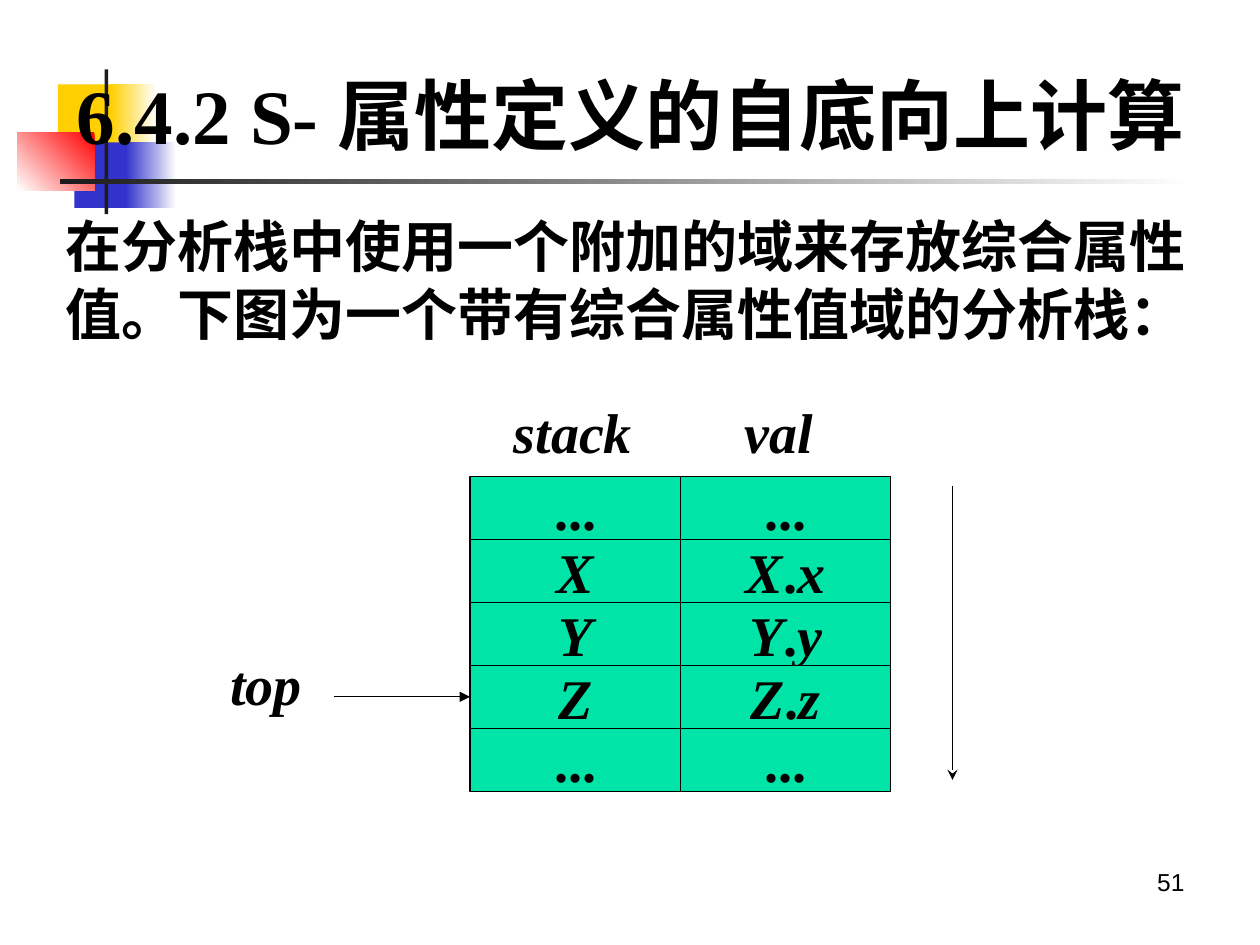
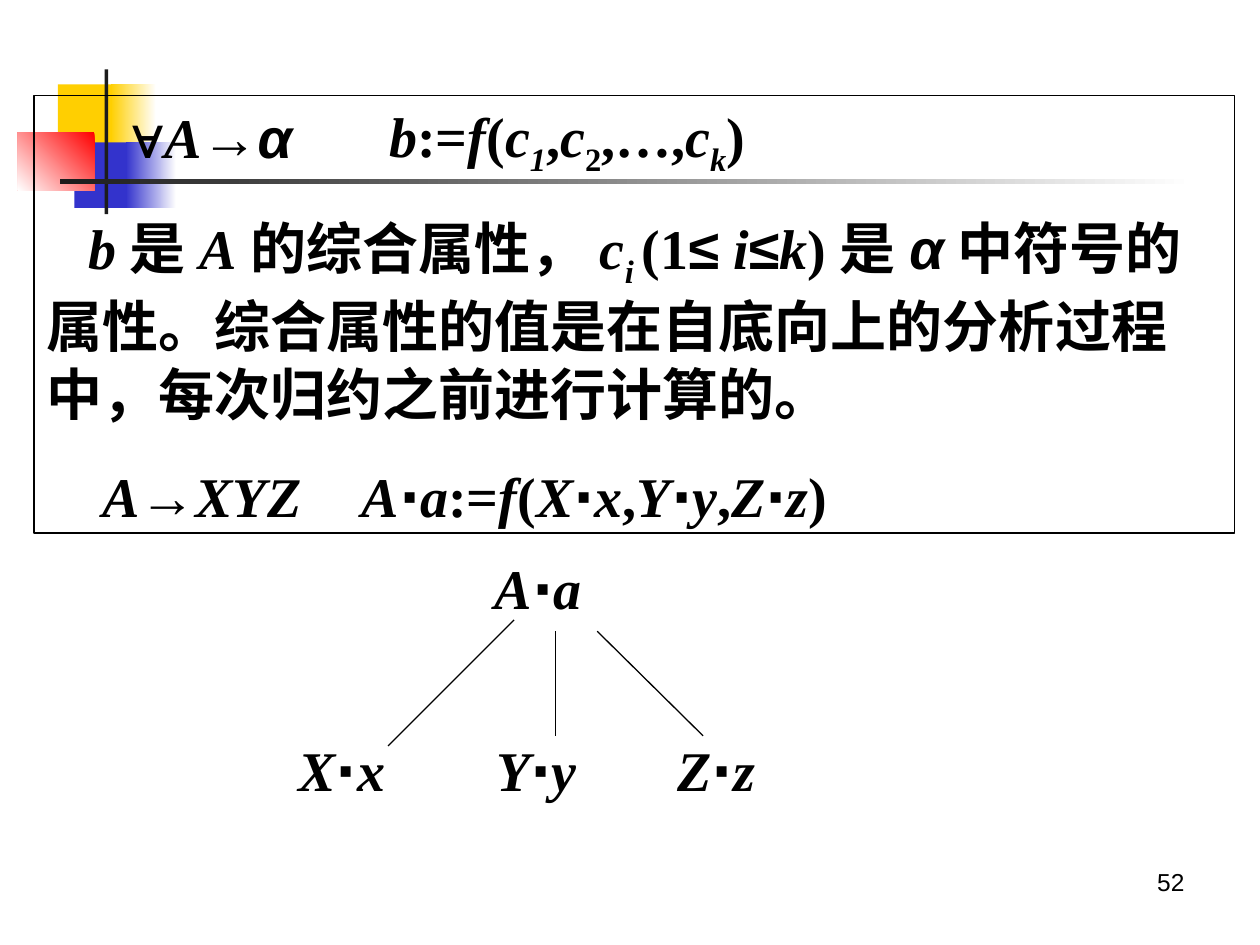
from itertools import groupby

from lxml import etree
from pptx import Presentation
from pptx.dml.color import RGBColor
from pptx.enum.shapes import MSO_CONNECTOR, MSO_SHAPE
from pptx.enum.text import MSO_ANCHOR, MSO_AUTO_SIZE, PP_ALIGN
from pptx.oxml.ns import qn
from pptx.util import Emu, Pt

PX = 9144
RECT = MSO_SHAPE.RECTANGLE
STRAIGHT = MSO_CONNECTOR.STRAIGHT
TOP, MIDDLE = MSO_ANCHOR.TOP, MSO_ANCHOR.MIDDLE
NO_FIT = MSO_AUTO_SIZE.NONE
LEFT, CENTER, RIGHT = PP_ALIGN.LEFT, PP_ALIGN.CENTER, PP_ALIGN.RIGHT

SERIF, SANS, CJK = "Times New Roman", "Arial", "Noto Sans CJK SC"
CJK_LEADING = 1.21
BLACK, WHITE, DARK = "000000", "FFFFFF", "1C1C1C"
YELLOW, BLUE, RED, GREEN = "FFCF01", "3333CC", "FF0000", "00E4A8"
SANS_SYMBOLS = "∀→α⋅≤"

BACKDROP = [
    ((46, 67, 48, 52), YELLOW),
    ((88, 67, 36, 52), (WHITE, YELLOW, 180)),
    ((59, 113, 46, 52), BLUE),
    ((100, 113, 40, 52), (WHITE, BLUE, 180)),
    ((14, 105, 61, 46), (RED, WHITE, 225)),
    ((83, 55, 3, 115), DARK),
    ((48, 142, 900, 4), (WHITE, DARK, 180)),
]


def px(n):
    return Emu(n * PX)


def rgb(color):
    return RGBColor.from_string(color)


def apply(target, values):
    for name, value in values.items():
        setattr(target, name, value)


def place(s, box):
    apply(s, dict(zip(("left", "top", "width", "height"), map(px, box))))


def math_runs(text):
    """Split into runs; _ marks an italic and ~ an upright subscript."""
    chars, sub = [], ""
    for ch in text:
        if ch in "_~":
            sub = ch
            continue
        letter = ch == "α" or (ch.isascii() and ch.isalpha())
        italic = sub == "_" or (letter and not sub)
        chars.append((ch, (italic, ch in SANS_SYMBOLS, bool(sub))))
        sub = ""
    for style, group in groupby(chars, key=lambda c: c[1]):
        yield "".join(ch for ch, _ in group), style


def add_run(p, text, font, size, bold=True, italic=False, sub=False):
    r = p.add_run()
    r.text = text
    apply(r.font, {"name": font, "size": Pt(size), "bold": bold, "italic": italic})
    r.font.color.rgb = rgb(BLACK)
    rPr = r.font._element
    etree.SubElement(rPr, qn("a:ea")).set("typeface", CJK)
    if sub:
        rPr.set("baseline", "-25000")


def format_paragraph(p, size, align=LEFT, indent=0, tab=0, before=0, chinese=False):
    pPr = p._p.get_or_add_pPr()
    pPr.set("marL", "0")
    pPr.set("indent", str(px(indent)))
    etree.SubElement(pPr, qn("a:buNone"))
    if tab:
        stop = etree.SubElement(etree.SubElement(pPr, qn("a:tabLst")), qn("a:tab"))
        stop.set("pos", str(px(tab)))
        stop.set("algn", "l")
    apply(p, {"alignment": align, "space_before": Pt(before)})
    if chinese:
        p.line_spacing = Pt(round(size * CJK_LEADING))


def write_math(p, text, **layout):
    format_paragraph(p, 32, **layout)
    for part, (italic, sans, sub) in math_runs(text):
        add_run(p, part, SANS if sans else SERIF, 32, italic=italic, sub=sub)


def write_plain(p, text, font, size, bold=True, **layout):
    format_paragraph(p, size, **layout)
    add_run(p, text, font, size, bold)


def frame(s, wrap=True, anchor=TOP):
    tf = s.text_frame
    apply(tf, {"word_wrap": wrap, "vertical_anchor": anchor, "auto_size": NO_FIT})
    return tf


def add_box(slide, box):
    return frame(slide.shapes.add_textbox(*map(px, box))).paragraphs[0]


def add_label(slide, box, text):
    write_math(add_box(slide, box), text)


def add_page_number(slide, number):
    p = add_box(slide, (717, 683, 233, 52))
    write_plain(p, str(number), SANS, 14, bold=False, align=RIGHT)


def add_rect(slide, box, fill):
    s = slide.shapes.add_shape(RECT, *map(px, box))
    s.shadow.inherit = False
    if isinstance(fill, str):
        s.fill.solid()
        s.fill.fore_color.rgb = rgb(fill)
    else:
        start, end, angle = fill
        s.fill.gradient()
        s.fill.gradient_angle = angle
        for stop, color in zip(s.fill.gradient_stops, (start, end)):
            stop.color.rgb = rgb(color)
    s.line.fill.background()
    return s


def outline(line):
    line.color.rgb = rgb(BLACK)
    line.width = Pt(0.75)


def add_cell(slide, box, text):
    s = add_rect(slide, box, GREEN)
    outline(s.line)
    tf = frame(s, wrap=False, anchor=MIDDLE)
    write_math(tf.paragraphs[0], text, align=CENTER)
    return s


def add_line(slide, start, end, head=None):
    c = slide.shapes.add_connector(STRAIGHT, *map(px, start + end))
    outline(c.line)
    if head:
        ln = c.line._get_or_add_ln()
        etree.SubElement(ln, qn("a:tailEnd")).set("type", head)
    etree.SubElement(c.element.spPr, qn("a:effectLst"))
    return c


def add_backdrop(slide):
    layout_tree = slide.slide_layout.shapes.element
    for i, (box, fill) in enumerate(BACKDROP):
        s = add_rect(slide, box, fill)
        s.element.nvSpPr.cNvPr.set("id", str(100 + i))
        layout_tree.append(s.element)


def build_stack_slide(slide):
    title, body = slide.placeholders
    place(title, (51, 48, 940, 84))
    write_plain(frame(title).paragraphs[0],
                "6.4.2 S-属性定义的自底向上计算", SERIF, 44, chinese=True)
    place(body, (42, 162, 923, 117))
    write_plain(frame(body).paragraphs[0],
                "在分析栈中使用一个附加的域来存放综合属性值。"
                "下图为一个带有综合属性值域的分析栈：", CJK, 32, chinese=True)

    add_label(slide, (398, 311, 124, 64), "stack")
    add_label(slide, (581, 311, 83, 64), "val")
    add_label(slide, (173, 511, 108, 64), "top")

    rows = [("...", "..."), ("X", "X.x"), ("Y", "Y.y"), ("Z", "Z.z"), ("...", "...")]
    cells = {}
    for i, row in enumerate(rows):
        for j, text in enumerate(row):
            box = (373 + 167 * j, 378 + 50 * i, 167, 50)
            cells[i, j] = add_cell(slide, box, text)

    pointer = add_line(slide, (265, 553), (373, 553), "triangle")
    pointer.end_connect(cells[3, 0], 1)
    add_line(slide, (756, 386), (756, 619), "stealth")


def build_reduction_slide(slide):
    title, body = slide.placeholders
    title.element.getparent().remove(title.element)
    place(body, (27, 76, 953, 347))
    outline(body.line)
    tf = frame(body)
    write_math(tf.paragraphs[0], "∀A→α", indent=67)
    write_math(tf.add_paragraph(),
               "b是A的综合属性，c_i_ (1≤ i≤k)是α中符号的属性。"
               "综合属性的值是在自底向上的分析过程中，每次归约之前进行计算的。",
               indent=33, before=30, chinese=True)
    write_math(tf.add_paragraph(), "A→XYZ\tA⋅a:=f(X⋅x,Y⋅y,Z⋅z)",
               indent=44, tab=250, before=20)
    add_label(slide, (299, 76, 400, 64), "b:=f(c_1,c~2,…,c_k)")

    add_label(slide, (383, 434, 100, 64), "A⋅a")
    for left, text in [(227, "X⋅x"), (384, "Y⋅y"), (528, "Z⋅z")]:
        add_label(slide, (left, 579, 106, 64), text)
    for start, end in [((408, 492), (308, 592)),
                       ((441, 501), (441, 584)),
                       ((474, 501), (558, 584))]:
        add_line(slide, start, end)


def main():
    prs = Presentation()
    apply(prs, {"slide_width": px(1000), "slide_height": px(750)})
    layout = prs.slide_layouts[1]
    builders = [build_stack_slide, build_reduction_slide]
    for number, build in enumerate(builders, 51):
        slide = prs.slides.add_slide(layout)
        if number == 51:
            add_backdrop(slide)
        build(slide)
        add_page_number(slide, number)
    prs.save("out.pptx")


if __name__ == "__main__":
    main()
